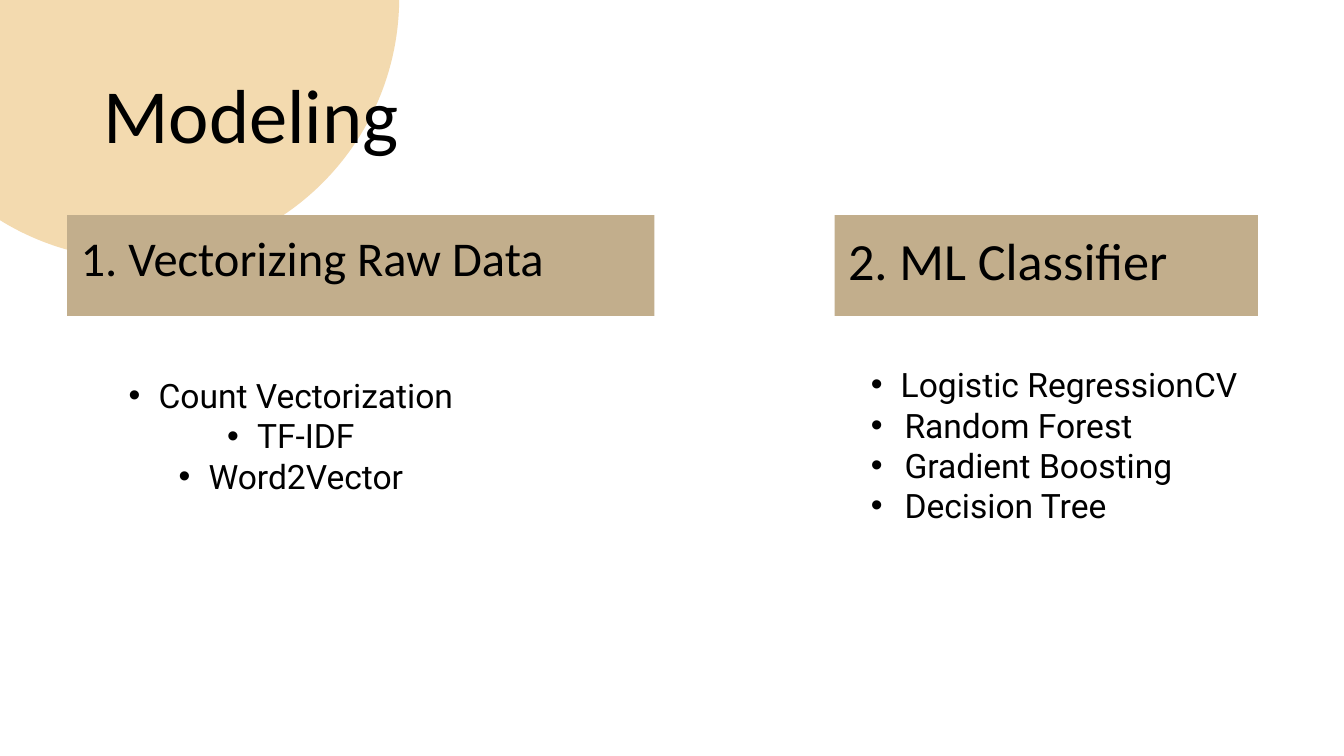
"""Build the Modeling slide: two headed columns of bullet points."""
from lxml import etree
from pptx import Presentation
from pptx.dml.color import RGBColor
from pptx.enum.shapes import MSO_SHAPE
from pptx.enum.text import MSO_ANCHOR, MSO_AUTO_SIZE, PP_ALIGN
from pptx.oxml.ns import qn
from pptx.util import Pt

OVAL = MSO_SHAPE.OVAL
TOP, BOTTOM = MSO_ANCHOR.TOP, MSO_ANCHOR.BOTTOM
LEFT, CENTER = PP_ALIGN.LEFT, PP_ALIGN.CENTER
NO_FIT = MSO_AUTO_SIZE.NONE
COMPARISON = 4

THEME = {
    "text": RGBColor(0, 0, 0),
    "circle": RGBColor(0xF3, 0xDA, 0xAF),
    "band": RGBColor(0xC2, 0xAE, 0x8C),
    "head_font": "Calibri",
    "list_font": "Roboto",
    "title_size": 41,
    "list_size": 18,
}
INSET = 7.2
BAND_TOP, BAND_HEIGHT = 115.2, 54

TITLE = {"text": "Modeling", "box": (48.24, 28.8, 226.8, 66.24)}
CIRCLE = (-66.24, -141.12, 280.08, 280.08)
COLUMNS = [
    {
        "heading": "1. Vectorizing Raw Data", "size": 26, "left": 36, "width": 314.64,
        "items": ["Count Vectorization", "TF-IDF", "Word2Vector"],
        "indents": [16, 16, 16], "align": CENTER,
        "box": (57.6, 190.08, 196.56, 82.8),
    },
    {
        "heading": "2. ML Classifier", "size": 28, "left": 447.12, "width": 226.8,
        "items": ["Logistic RegressionCV", "Random Forest", "Gradient Boosting", "Decision Tree"],
        "indents": [16, 18, 18, 18], "align": LEFT,
        "box": (459.36, 174.96, 234.72, 113.76),
    },
]


def place(s, box):
    s.left, s.top, s.width, s.height = map(Pt, box)


def write(s, lines, box, font, size, align=LEFT, anchor=TOP):
    place(s, box)
    tf = s.text_frame
    tf.text = "\n".join(lines)
    tf.word_wrap, tf.auto_size, tf.vertical_anchor = True, NO_FIT, anchor
    tf.margin_left = tf.margin_right = tf.margin_top = tf.margin_bottom = Pt(INSET)
    for p in tf.paragraphs:
        p.alignment, p.space_before, p.space_after = align, Pt(0), Pt(0)
        for r in p.runs:
            r.font.name, r.font.size, r.font.bold = font, Pt(size), False
            r.font.color.rgb = THEME["text"]


def add_bullet(p, indent):
    pPr = p._p.get_or_add_pPr()
    pPr.set("marL", str(Pt(indent)))
    pPr.set("indent", str(-Pt(indent)))
    etree.SubElement(pPr, qn("a:buFont")).set("typeface", "Arial")
    etree.SubElement(pPr, qn("a:buChar")).set("char", "•")


def fill_column(heading, body, col):
    band = (col["left"], BAND_TOP, col["width"], BAND_HEIGHT)
    write(heading, [col["heading"]], band, THEME["head_font"], col["size"])
    heading.fill.solid()
    heading.fill.fore_color.rgb = THEME["band"]
    write(body, col["items"], col["box"], THEME["list_font"], THEME["list_size"],
          col["align"], BOTTOM)
    for p, indent in zip(body.text_frame.paragraphs, col["indents"]):
        add_bullet(p, indent)


def add_circle(slide):
    s = slide.shapes.add_shape(OVAL, *map(Pt, CIRCLE))
    s.shadow.inherit = False
    s.fill.solid()
    s.fill.fore_color.rgb = THEME["circle"]
    s.line.fill.background()
    slide.shapes._spTree.insert(2, s._element)


def main():
    prs = Presentation()
    prs.slide_width, prs.slide_height = Pt(720), Pt(405)
    slide = prs.slides.add_slide(prs.slide_layouts[COMPARISON])
    title, *parts = slide.placeholders
    write(title, [TITLE["text"]], TITLE["box"], THEME["head_font"], THEME["title_size"])
    for heading, body, col in zip(parts[::2], parts[1::2], COLUMNS):
        fill_column(heading, body, col)
    add_circle(slide)
    prs.save("out.pptx")


if __name__ == "__main__":
    main()
